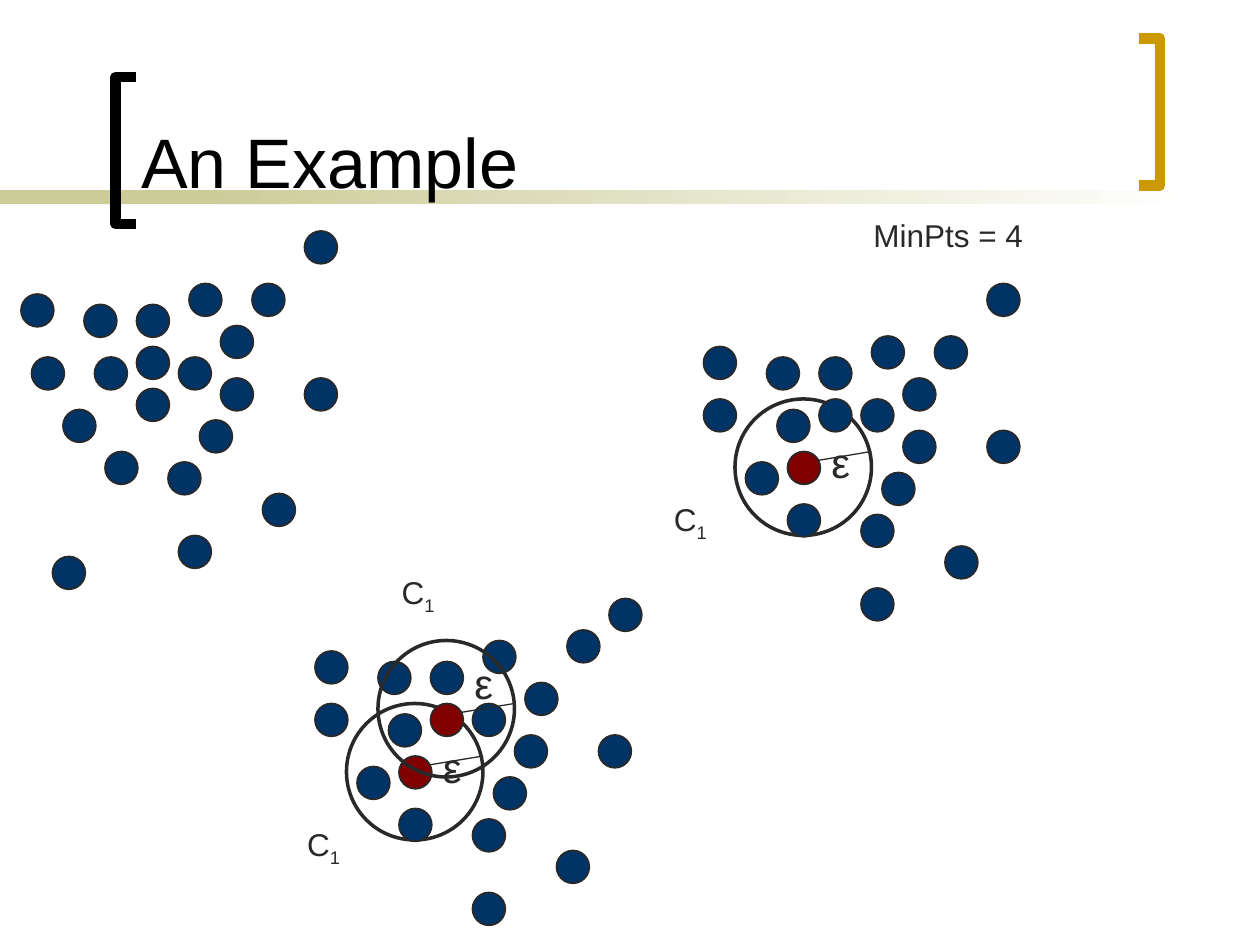
from lxml import etree
from pptx import Presentation
from pptx.dml.color import RGBColor
from pptx.enum import shapes, text
from pptx.oxml import ns
from pptx.util import Pt

UNIT = 6  # the clusters sit on a grid of 6 points
DOT, REACH = 18.75, 78  # diameters of a point and of its neighbourhood
INK, NAVY, RED = "292929", "003366", "800000"
BLACK, GOLD, SAND, WHITE = "000000", "CC9900", "CCCC99", "FFFFFF"

# Top left corners of the dots, in grid units
LEFT_DOTS = [
    (8, 29), (9, 34), (13, 33), (6, 39), (17, 34), (13, 29), (10, 43),
    (21, 31), (18, 27), (21, 36), (19, 40), (13, 37), (3, 34), (16, 44),
    (24, 27), (2, 28), (5, 53), (29, 22), (29, 36), (25, 47), (17, 51),
]
RIGHT_DOTS = [
    (73, 34), (74, 39), (78, 38), (71, 44), (82, 38), (78, 34), (75, 48),
    (86, 36), (83, 32), (86, 41), (84, 45), (67, 38), (82, 49), (89, 32),
    (67, 33), (94, 27), (94, 41), (90, 52), (82, 56),
]
BOTTOM_DOTS = [
    (36, 63), (37, 68), (34, 73), (45, 67), (41, 63), (38, 77), (50, 65),
    (46, 61), (49, 70), (47, 74), (30, 67), (45, 78), (54, 60), (30, 62),
    (58, 57), (57, 70), (53, 81), (45, 85),
]


def rgb(value):
    return RGBColor.from_string(value)


class Canvas:
    """Draws on one slide, or on the group opened last."""

    def __init__(self, slide, font="Arial"):
        self.slide = slide
        self.target = slide.shapes
        self.font = font

    def open_group(self):
        self.target = self.slide.shapes.add_group_shape().shapes

    def bar(self, left, top, width, height, *colours):
        """One colour gives a plain bar, two a fade to the right."""
        bar = self.target.add_shape(
            shapes.MSO_SHAPE.RECTANGLE, Pt(left), Pt(top), Pt(width), Pt(height))
        bar.shadow.inherit = False
        bar.line.fill.background()
        if len(colours) == 1:
            bar.fill.solid()
            bar.fill.fore_color.rgb = rgb(colours[0])
        else:
            bar.fill.gradient()
            bar.fill.gradient_angle = 0
            for stop, colour in zip(bar.fill.gradient_stops, colours):
                stop.color.rgb = rgb(colour)

    def bracket(self, spine, tip, top, bottom, colour):
        builder = self.target.build_freeform(Pt(tip), Pt(top))
        builder.add_line_segments(
            [(Pt(spine), Pt(top)), (Pt(spine), Pt(bottom)), (Pt(tip), Pt(bottom))],
            close=False)
        bracket = builder.convert_to_shape()
        bracket.shadow.inherit = False
        bracket.fill.background()
        bracket.line.color.rgb = rgb(colour)
        bracket.line.width = Pt(6)

    def circle(self, column, row, size, weight, colour=None):
        circle = self.target.add_shape(
            shapes.MSO_SHAPE.OVAL, Pt(column * UNIT), Pt(row * UNIT), Pt(size), Pt(size))
        circle.shadow.inherit = False
        circle.line.color.rgb = rgb(INK)
        circle.line.width = Pt(weight)
        if colour:
            circle.fill.solid()
            circle.fill.fore_color.rgb = rgb(colour)
        else:
            circle.fill.background()

    def dots(self, places, colour=NAVY):
        for column, row in places:
            self.circle(column, row, DOT, 1, colour)

    def neighbourhood(self, column, row):
        self.circle(column, row, REACH, 2)

    def radius(self, core):
        column, row = core
        ends = (column + 2, row + 1, column + 8, row)
        line = self.target.add_connector(
            shapes.MSO_CONNECTOR.STRAIGHT, *(Pt(end * UNIT) for end in ends))
        line.line.color.rgb = rgb(INK)
        line.line.width = Pt(0.75)
        etree.SubElement(line._element.spPr, ns.qn("a:effectLst"))

    def label(self, left, top, width, height, words, size=18, colour=INK,
              subscript="", before=0, wrap=True, bottom=False):
        box = self.target.add_textbox(Pt(left), Pt(top), Pt(width), Pt(height))
        frame = box.text_frame
        frame.word_wrap = wrap
        if bottom:
            frame.vertical_anchor = text.MSO_ANCHOR.BOTTOM
        else:
            frame.auto_size = text.MSO_AUTO_SIZE.SHAPE_TO_FIT_TEXT
        paragraph = frame.paragraphs[0]
        paragraph.space_before = Pt(before)
        paragraph.font.name = self.font
        paragraph.font.size = Pt(size)
        paragraph.font.color.rgb = rgb(colour)
        paragraph.add_run().text = words
        if subscript:
            run = paragraph.add_run()
            run.text = subscript
            run._r.get_or_add_rPr().set("baseline", "-25000")

    def epsilon(self, column, row):
        self.label(column * UNIT, row * UNIT, DOT, 36, "ε", size=24)

    def cluster_name(self, left, top, width=33, wrap=False):
        self.label(left, top, width, 32, "C", subscript="1", before=11.2, wrap=wrap)


def main():
    deck = Presentation()
    deck.slide_width, deck.slide_height = Pt(720), Pt(540)
    canvas = Canvas(deck.slides.add_slide(deck.slide_layouts[6]))

    canvas.bar(0, 108.7, 168, 8, SAND)
    canvas.bar(114, 108.7, 570, 8, SAND, WHITE)
    canvas.bracket(66, 78, 44, 128, BLACK)
    canvas.bracket(663, 651, 22, 106, GOLD)
    canvas.label(73.5, 8, 564, 111.5, "An Example", size=40, colour=BLACK, bottom=True)

    canvas.open_group()
    canvas.dots(LEFT_DOTS)

    canvas.target = canvas.slide.shapes
    canvas.label(492, 120, 126, 29, "MinPts = 4", before=11.2)

    canvas.open_group()
    core = (75, 43)
    canvas.neighbourhood(70, 38)
    canvas.dots(RIGHT_DOTS)
    canvas.radius(core)
    canvas.dots([core], RED)
    canvas.epsilon(78, 41)
    canvas.cluster_name(378, 282, width=42, wrap=True)

    canvas.open_group()
    lower_core, upper_core = (38, 72), (41, 67)
    canvas.neighbourhood(33, 67)
    canvas.dots(BOTTOM_DOTS)
    canvas.radius(lower_core)
    canvas.dots([lower_core], RED)
    canvas.epsilon(41, 70)
    canvas.neighbourhood(36, 61)
    canvas.radius(upper_core)
    canvas.epsilon(44, 62)
    canvas.cluster_name(168.5, 468)
    canvas.cluster_name(222.5, 324)
    canvas.dots([upper_core], RED)

    deck.save("out.pptx")


if __name__ == "__main__":
    main()
